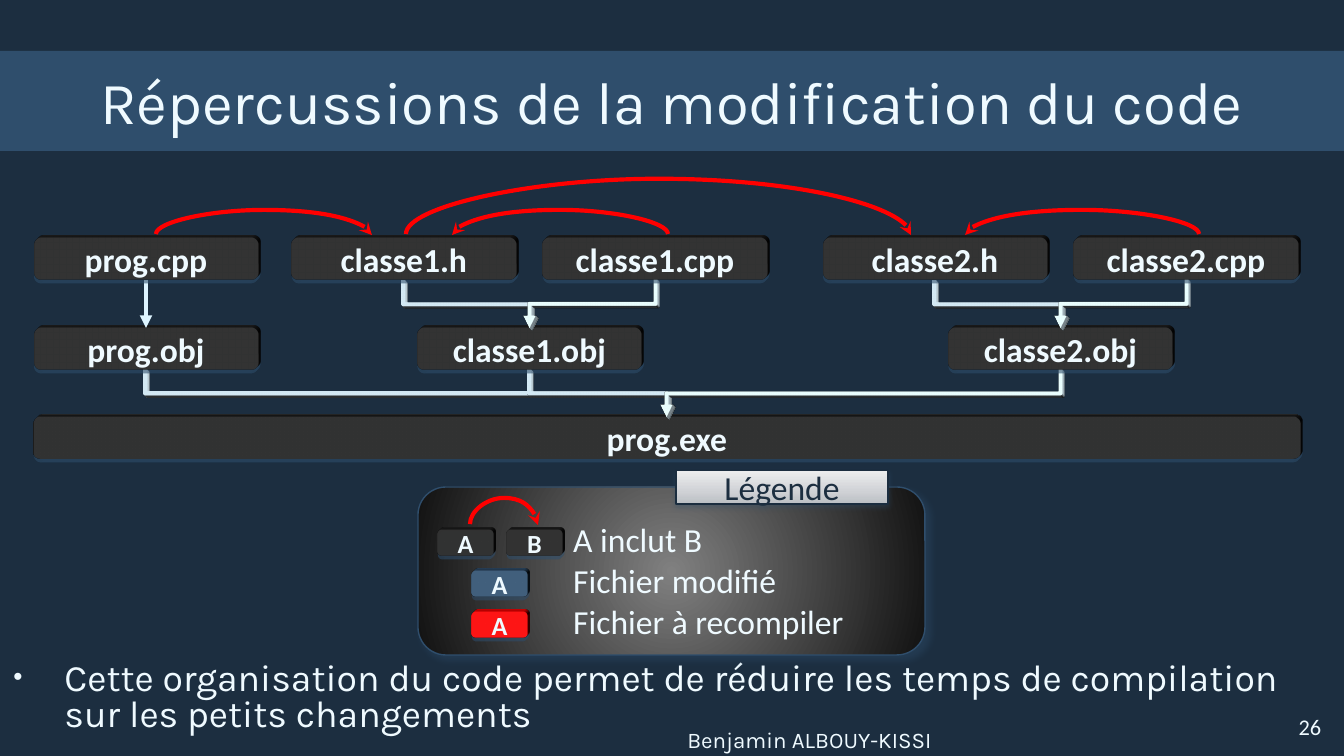
from lxml.etree import SubElement
from pptx import Presentation
from pptx.dml.color import RGBColor
from pptx.enum.shapes import MSO_CONNECTOR, MSO_SHAPE
from pptx.enum.text import MSO_ANCHOR, PP_ALIGN
from pptx.oxml import parse_xml
from pptx.oxml.ns import nsdecls, qn
from pptx.util import Pt

PX = 914400 / 134.4
NAVY = RGBColor(0x1C, 0x2E, 0x40)
BLUE = RGBColor(0x2F, 0x4E, 0x6C)
WHITE = RGBColor(0xEF, 0xFA, 0xFF)
BLACK = RGBColor(0x1E, 0x1E, 0x1E)
RED = RGBColor(0xFF, 0x00, 0x00)
PALE = RGBColor(0xDD, 0xF4, 0xFF)
TAG_LINE = RGBColor(0x1B, 0x2D, 0x3F)
FILE_WIDTH, FILE_HEIGHT = 224, 42


def px(*lengths):
    return [round(length * PX) for length in lengths]


def write(shape, text, size, font="Calibri", color=WHITE, bold=False,
          align=PP_ALIGN.CENTER, anchor=MSO_ANCHOR.MIDDLE, wrap=False):
    frame = shape.text_frame
    frame.text = text
    frame.word_wrap = wrap
    frame.vertical_anchor = anchor
    paragraph = frame.paragraphs[0]
    paragraph.alignment = align
    run_font = paragraph.runs[0].font
    run_font.size, run_font.name, run_font.bold = Pt(size), font, bold
    run_font.color.rgb = color


def clear_insets(shape):
    frame = shape.text_frame
    frame.margin_left = frame.margin_right = frame.margin_top = frame.margin_bottom = 0


def add_shadow(shape, alpha, blur, distance, angle):
    shape._element.spPr.append(parse_xml(
        f'<a:effectLst {nsdecls("a")}><a:outerShdw blurRad="{Pt(blur)}" dist="{Pt(distance)}" '
        f'dir="{angle * 60000}" rotWithShape="0"><a:srgbClr val="{BLUE}">'
        f'<a:alpha val="{alpha * 1000}"/></a:srgbClr></a:outerShdw></a:effectLst>'))


def add_depth(shape):
    """Extrude the shape towards the top right."""
    properties = shape._element.spPr
    properties.append(parse_xml(
        f'<a:scene3d {nsdecls("a")}><a:camera prst="obliqueTopRight"/>'
        '<a:lightRig rig="threePt" dir="t"/></a:scene3d>'))
    properties.append(parse_xml(f'<a:sp3d {nsdecls("a")} extrusionH="76200"/>'))


def set_gradient(shape, stops, direction):
    shape.fill.background()
    marks = "".join(f'<a:gs pos="{position * 1000}"><a:srgbClr val="{color}"/></a:gs>'
                    for position, color in stops)
    properties = shape._element.spPr
    properties.replace(properties.find(qn("a:noFill")), parse_xml(
        f'<a:gradFill {nsdecls("a")} rotWithShape="1"><a:gsLst>{marks}</a:gsLst>'
        f'{direction}</a:gradFill>'))


def add_file(slide, name, left, top, width=FILE_WIDTH, height=FILE_HEIGHT, color=BLACK, size=18):
    shape = slide.shapes.add_shape(MSO_SHAPE.ROUNDED_RECTANGLE, *px(left, top, width, height))
    shape.fill.solid()
    shape.fill.fore_color.rgb = color
    shape.line.fill.background()
    add_shadow(shape, 35, 3.1, 1.8, 90)
    add_depth(shape)
    write(shape, name, size, bold=True)


def style_arrow(connector, color, head):
    connector.line.width = Pt(2.25)
    connector.line.color.rgb = color
    SubElement(connector.line._get_or_add_ln(), qn("a:tailEnd"), type=head)
    SubElement(connector._element.spPr, qn("a:effectLst"))


def add_turned(slide, kind, start, end, bend):
    """Connector that leaves vertically: its box is turned by a quarter."""
    (x1, y1), (x2, y2) = start, end
    width, height = y2 - y1, abs(x2 - x1)
    left, top = (x1 + x2 - width) / 2, (y1 + y2 - height) / 2
    connector = slide.shapes.add_connector(kind, *px(left, top, left + width, top + height))
    properties = connector._element.spPr
    frame = properties.find(qn("a:xfrm"))
    frame.set("rot", "5400000")
    if x2 > x1:
        frame.set("flipV", "1")
    geometry = properties.find(qn("a:prstGeom"))
    values = geometry.find(qn("a:avLst"))
    if values is None:
        values = SubElement(geometry, qn("a:avLst"))
    SubElement(values, qn("a:gd"), name="adj1", fmla=f"val {round(bend * 100000)}")
    return connector


def add_build_arrow(slide, start, end):
    if start[0] == end[0]:
        connector = slide.shapes.add_connector(MSO_CONNECTOR.STRAIGHT, *px(*start, *end))
        style_arrow(connector, PALE, "triangle")
        return
    connector = add_turned(slide, MSO_CONNECTOR.ELBOW, start, end, 0.5)
    style_arrow(connector, PALE, "triangle")
    add_depth(connector)


def add_include_arrow(slide, x1, x2, y, rise):
    connector = add_turned(slide, MSO_CONNECTOR.CURVE, (x1, y), (x2, y + 1), -rise)
    style_arrow(connector, RED, "stealth")


def add_header(slide, left, top, width, height):
    band = slide.shapes.add_shape(MSO_SHAPE.RECTANGLE, *px(left, top, width, height))
    band.shadow.inherit = False
    band.fill.solid()
    band.fill.fore_color.rgb = BLUE
    band.line.fill.background()
    slide.shapes._spTree.insert(2, band._element)
    title = slide.shapes.title
    title.left, title.top, title.width, title.height = px(left + 22, top, width - 44, height)
    write(title, "Répercussions de la modification du code", 32, "Karla", wrap=True)


def add_conclusion(slide, left, top, width, height):
    body = slide.placeholders[1]
    body.left, body.top, body.width, body.height = px(left, top, width, height)
    write(body, "Cette organisation du code permet de réduire les temps de compilation "
          "sur les petits changements", 20, "Karla",
          align=PP_ALIGN.LEFT, anchor=MSO_ANCHOR.TOP, wrap=True)
    paragraph = body.text_frame.paragraphs[0]
    paragraph.line_spacing = 0.8
    paragraph.space_before = Pt(0)
    properties = paragraph._p.get_or_add_pPr()
    indent = px(51)[0]
    properties.set("marL", str(indent))
    properties.set("indent", str(-indent))
    SubElement(properties, qn("a:buSzPct"), val="70000")
    SubElement(properties, qn("a:buChar"), char="•")


def add_build_diagram(slide, left, top, width):
    rows = [top, top + 90, top + 179]
    middle = FILE_WIDTH / 2
    sources = {"prog.cpp": 0, "classe1.h": 258, "classe1.cpp": 509,
               "classe2.h": 789, "classe2.cpp": 1040}
    objects = {"prog.obj": ["prog.cpp"], "classe1.obj": ["classe1.h", "classe1.cpp"],
               "classe2.obj": ["classe2.h", "classe2.cpp"]}
    add_file(slide, "prog.exe", left, rows[2], width)
    for name, parts in objects.items():
        x = left + sum(sources[part] for part in parts) / len(parts)
        add_build_arrow(slide, (x + middle, rows[1] + FILE_HEIGHT), (left + width / 2, rows[2]))
        add_file(slide, name, x, rows[1])
        for part in parts:
            add_build_arrow(slide, (left + sources[part] + middle, top + FILE_HEIGHT),
                            (x + middle, rows[1]))
    for name, x in sources.items():
        add_file(slide, name, left + x, top)
    for x1, x2, rise in [(122, 338, 24), (634, 418, 24), (372, 877, 55), (1165, 931, 24)]:
        add_include_arrow(slide, left + x1, left + x2, top - 4, rise)


def add_legend(slide, left, top, width, height):
    panel = slide.shapes.add_shape(MSO_SHAPE.ROUNDED_RECTANGLE, *px(left, top, width, height))
    set_gradient(panel, [(0, "808080"), (100, "121212")],
                 '<a:path path="circle"><a:fillToRect l="50000" t="50000" r="50000" b="50000"/></a:path>')
    panel.line.color.rgb = BLUE
    panel.line.width = Pt(0.75)
    add_shadow(panel, 40, 4, 3, 45)
    entries = [("A inclut B", [("B", 89), ("A", 20)], BLACK),
               ("Fichier modifié", [("A", 54)], BLUE),
               ("Fichier à recompiler", [("A", 54)], RED)]
    for row, (meaning, chips, color) in enumerate(entries):
        y = top + 43 + 41 * row
        for letter, x in chips:
            add_file(slide, letter, left + x, y, 55, 26, color, 14)
        label = slide.shapes.add_textbox(*px(left + 142, y - 18, 301, 54))
        write(label, meaning, 18, align=PP_ALIGN.LEFT, anchor=MSO_ANCHOR.TOP)
    add_include_arrow(slide, left + 52, left + 120, top + 37, 26)
    tag = slide.shapes.add_shape(MSO_SHAPE.RECTANGLE, *px(left + 258, top - 17, 212, 34))
    set_gradient(tag, [(0, "BABEC3"), (35, "CFD1D5"), (100, "EDEEEF")],
                 '<a:lin ang="16200000" scaled="1"/>')
    tag.line.color.rgb = TAG_LINE
    tag.line.width = Pt(0.75)
    add_shadow(tag, 38, 3.1, 1.6, 90)
    write(tag, "Légende", 18, color=NAVY)


def add_footer(slide, left, top, width, height):
    author = slide.shapes.add_textbox(*px(left, top + 16, width - 21, height - 16))
    write(author, "Benjamin ALBOUY-KISSI", 12, "Karla", wrap=True)
    number = slide.shapes.add_shape(MSO_SHAPE.OVAL, *px(left + width - 14, top, 40, 40))
    number.shadow.inherit = False
    number.fill.background()
    number.line.fill.background()
    write(number, "26", 12, wrap=True)
    for shape in (author, number):
        clear_insets(shape)


def main():
    presentation = Presentation()
    presentation.slide_width, presentation.slide_height = px(1344, 756)
    slide = presentation.slides.add_slide(presentation.slide_layouts[1])
    slide.background.fill.solid()
    slide.background.fill.fore_color.rgb = NAVY
    add_header(slide, 0, 51, 1344, 100)
    add_conclusion(slide, 0, 656, 1321, 67)
    add_build_diagram(slide, 34, 238, 1266)
    add_legend(slide, 418, 487, 507, 168)
    add_footer(slide, 336, 707, 968, 49)
    presentation.save("out.pptx")


if __name__ == "__main__":
    main()
